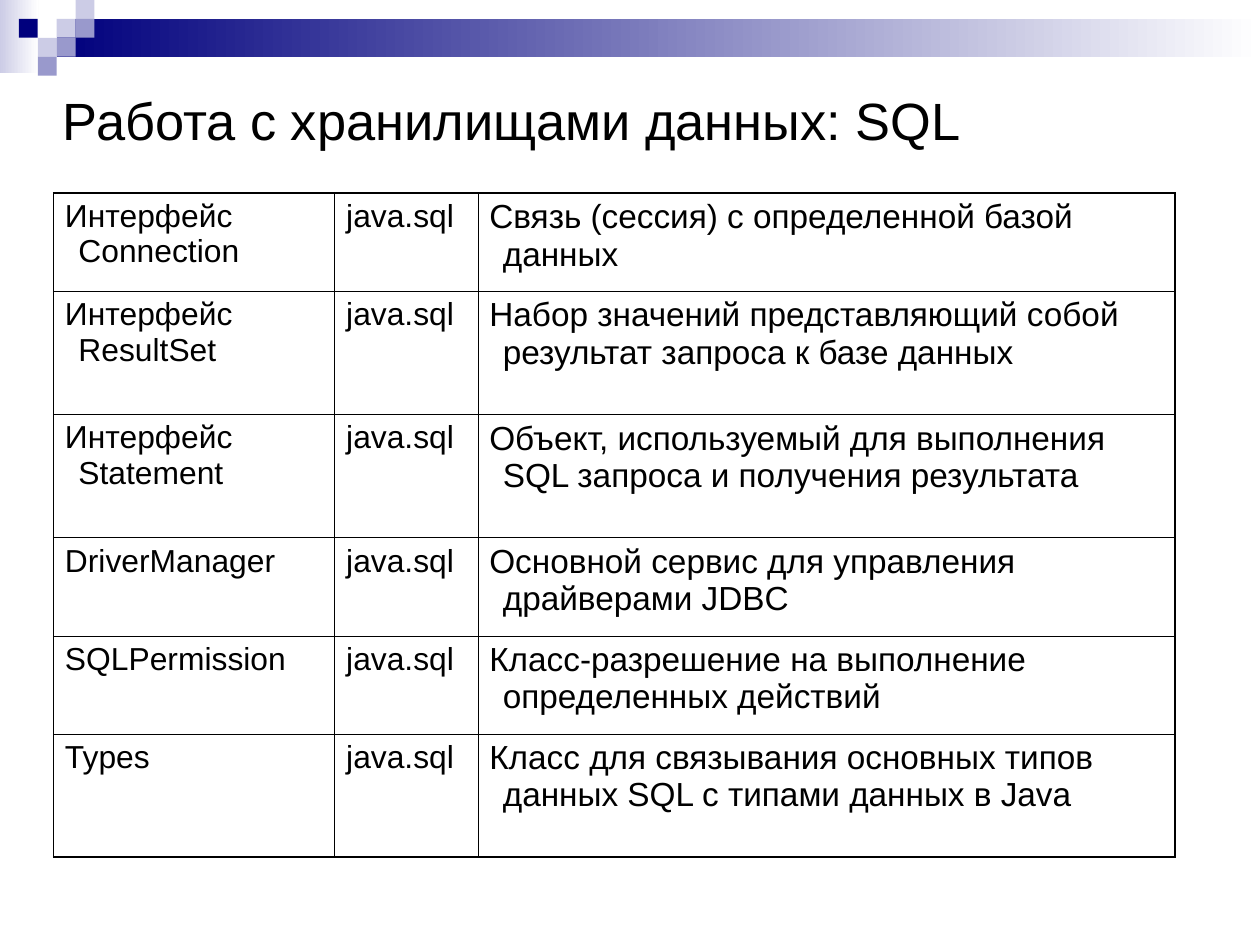
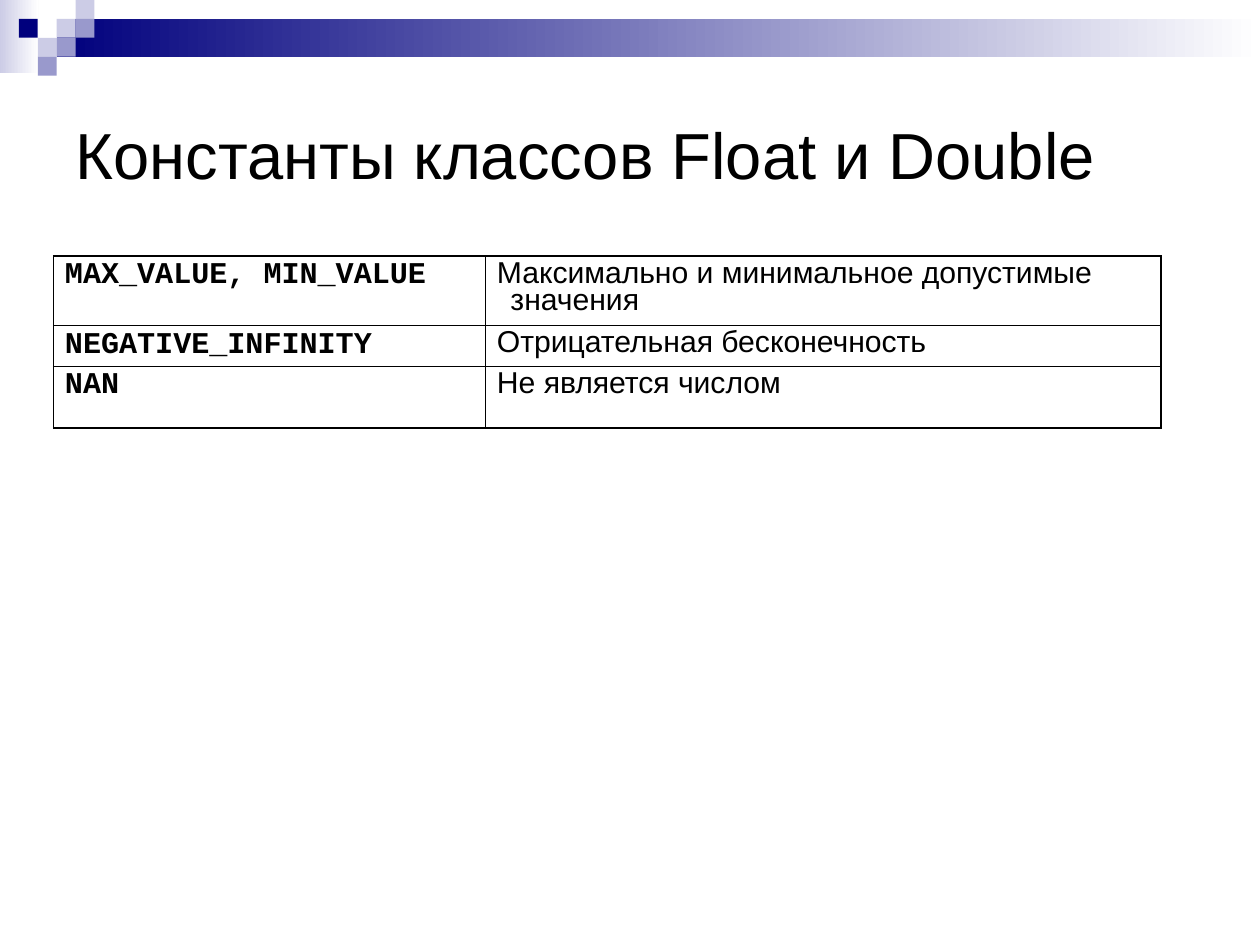
"""Two slides on Java classes: a title and a bordered table under a pixel header."""
from lxml.etree import SubElement
from pptx import Presentation
from pptx.dml.color import RGBColor
from pptx.enum.shapes import MSO_SHAPE
from pptx.enum.text import MSO_ANCHOR
from pptx.oxml.ns import qn
from pptx.util import Cm, Pt

COLORS = {
    "navy": "00007D",
    "violet": "9999CC",
    "lavender": "CCCCE6",
    "white": "FFFFFF",
    "black": "000000",
}
SLIDE_WIDTH, SLIDE_HEIGHT = 28, 21
PIXEL = 0.42
HEADER_PIXELS = [
    (3, 1, "lavender"),
    (4, 0, "lavender"),
    (4, 1, "violet"),
    (2, 2, "lavender"),
    (1, 1, "navy"),
    (3, 2, "violet"),
    (2, 3, "violet"),
]
TITLE_LEFT, TITLE_WIDTH = 1.4, 25.2
TABLE_LEFT = 1.19
HANGING = 0.3
OUTER_LINE, INNER_LINE = 1.08, 0.45

SQL_ROWS = [
    ("Интерфейс Connection", "java.sql", "Связь (сессия) с определенной базой данных"),
    ("Интерфейс ResultSet", "java.sql",
     "Набор значений представляющий собой результат запроса к базе данных"),
    ("Интерфейс Statement", "java.sql",
     "Объект, используемый для выполнения SQL запроса и получения результата"),
    ("DriverManager", "java.sql", "Основной сервис для управления драйверами JDBC"),
    ("SQLPermission", "java.sql", "Класс-разрешение на выполнение определенных действий"),
    ("Types", "java.sql",
     "Класс для связывания основных типов данных SQL с типами данных в Java"),
]
CONSTANT_ROWS = [
    ("MAX_VALUE, MIN_VALUE", "Максимально и минимальное допустимые значения"),
    ("NEGATIVE_INFINITY", "Отрицательная бесконечность"),
    ("NAN", "Не является числом"),
]


def color(name):
    return RGBColor.from_string(COLORS[name])


def format_paragraph(paragraph, size, font="Arial", bold=False, line_spacing=1.0):
    paragraph.line_spacing = line_spacing
    paragraph.space_before = Pt(0)
    for run in paragraph.runs:
        run.font.name = font
        run.font.size = Pt(size)
        run.font.bold = bold
        run.font.color.rgb = color("black")


def add_rectangle(slide, left, top, width, height, fill, fade_to=None):
    shape = slide.shapes.add_shape(
        MSO_SHAPE.RECTANGLE, Cm(left), Cm(top), Cm(width), Cm(height))
    shape.shadow.inherit = False
    shape.line.fill.background()
    if fade_to is None:
        shape.fill.solid()
        shape.fill.fore_color.rgb = color(fill)
        return
    shape.fill.gradient()
    shape.fill.gradient_angle = 0
    for stop, name in zip(shape.fill.gradient_stops, (fill, fade_to)):
        stop.color.rgb = color(name)


def add_header(slide):
    add_rectangle(slide, 0, 0, 0.86, 1.63, "lavender", "white")
    add_rectangle(slide, 3 * PIXEL, PIXEL, SLIDE_WIDTH - 3 * PIXEL, 2 * PIXEL,
                  "navy", "white")
    for column, row, fill in HEADER_PIXELS:
        add_rectangle(slide, column * PIXEL, row * PIXEL, PIXEL, PIXEL, fill)


def add_title(slide, text, top, height, size, line_spacing, margins=(0, 0)):
    box = slide.shapes.add_textbox(
        Cm(TITLE_LEFT), Cm(top), Cm(TITLE_WIDTH), Cm(height))
    frame = box.text_frame
    frame.word_wrap = True
    frame.vertical_anchor = MSO_ANCHOR.MIDDLE
    frame.margin_left = frame.margin_right = Cm(margins[0])
    frame.margin_top = frame.margin_bottom = Cm(margins[1])
    frame.text = text
    format_paragraph(frame.paragraphs[0], size, line_spacing=line_spacing)


def set_borders(cell, left, right, top, bottom):
    properties = cell._tc.get_or_add_tcPr()
    widths = {"a:lnL": left, "a:lnR": right, "a:lnT": top, "a:lnB": bottom}
    for tag, width in widths.items():
        line = SubElement(properties, qn(tag), w=str(Pt(width)))
        fill = SubElement(line, qn("a:solidFill"))
        SubElement(fill, qn("a:srgbClr"), val=COLORS["black"])


def add_table(slide, top, widths, heights, rows, styles):
    table = slide.shapes.add_table(
        len(rows), len(widths), Cm(TABLE_LEFT), Cm(top),
        Cm(sum(widths)), Cm(sum(heights))).table
    table.first_row = table.horz_banding = False
    for column, width in zip(table.columns, widths):
        column.width = Cm(width)
    for row, height in zip(table.rows, heights):
        row.height = Cm(height)
    last_row, last_column = len(rows) - 1, len(widths) - 1
    for row_index, texts in enumerate(rows):
        for column_index, (text, style) in enumerate(zip(texts, styles)):
            cell = table.cell(row_index, column_index)
            edges = (column_index == 0, column_index == last_column,
                     row_index == 0, row_index == last_row)
            set_borders(cell, *(OUTER_LINE if edge else INNER_LINE for edge in edges))
            cell.fill.background()
            cell.text_frame.text = text
            paragraph = cell.text_frame.paragraphs[0]
            indents = paragraph._p.get_or_add_pPr()
            indents.set("marL", str(Cm(HANGING)))
            indents.set("indent", str(-Cm(HANGING)))
            format_paragraph(paragraph, **style)


def add_content_slide(presentation):
    slide = presentation.slides.add_slide(presentation.slide_layouts[6])
    add_header(slide)
    return slide


def main():
    presentation = Presentation()
    presentation.slide_width = Cm(SLIDE_WIDTH)
    presentation.slide_height = Cm(SLIDE_HEIGHT)

    slide = add_content_slide(presentation)
    add_title(slide, "Работа с хранилищами данных: SQL", 0.69, 4.19, 33, 0.8)
    short, tall = 2.18, 2.74
    add_table(slide, 4.29, [6.25, 3.18, 15.49],
              [short, tall, tall, short, short, tall], SQL_ROWS,
              [{"size": 20}, {"size": 20}, {"size": 21}])

    slide = add_content_slide(presentation)
    add_title(slide, "Константы классов Float и Double", 2.44, 2.13, 41, 0.95,
              margins=(0.28, 0.15))
    add_table(slide, 5.69, [9.6, 15.01], [1.55, 0.89, 1.37], CONSTANT_ROWS,
              [{"size": 19, "font": "Courier New", "bold": True, "line_spacing": 0.8},
               {"size": 19, "line_spacing": 0.8}])

    presentation.save("out.pptx")


if __name__ == "__main__":
    main()
